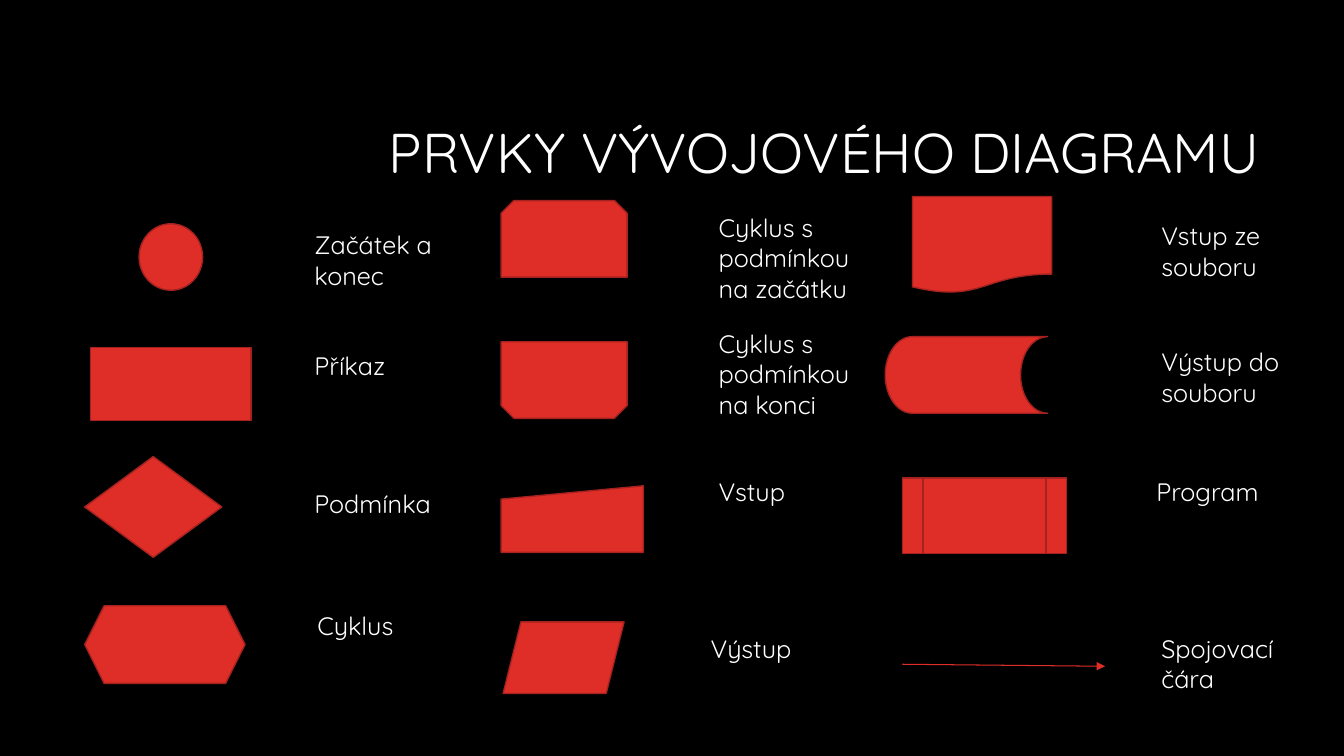
"""Builds a slide that names the symbols of a flowchart."""
from lxml import etree
from pptx import Presentation
from pptx import util as u
from pptx.dml.color import RGBColor
from pptx.enum import shapes, text
from pptx.oxml.ns import qn

FONT = "Quicksand"
COLORS = {"background": "000000", "text": "FFFFFF", "symbol": "DF2E28", "edge": "A5221E"}
TITLE = "PRVKY VÝVOJOVÉHO DIAGRAMU"
TITLE_BOX = (3.17, 0.84, 9.42, 1.41)
S = shapes.MSO_SHAPE
ARROW = None

# symbol, its size, its shift in the cell, rotation, label, label lines, label shift
COLUMNS = [
    [(S.OVAL, (0.63, 0.66), (0.54, 0.22), 0, "Začátek a konec", 2, (0, 0.23)),
     (S.RECTANGLE, (1.59, 0.72), (0.06, 0.05), 0, "Příkaz", 1, (0, 0.03)),
     (S.FLOWCHART_DECISION, (1.36, 1), (0, -0.27), 0, "Podmínka", 1, (0, 0)),
     (S.HEXAGON, (1.59, 0.77), (0, -0.19), 0, "Cyklus", 1, (0.03, -0.19))],
    [(S.SNIP_2_SAME_RECTANGLE, (1.25, 0.76), (0, -0.01), 0,
      "Cyklus s podmínkou na začátku", 3, (0, 0.06)),
     (S.SNIP_2_SAME_RECTANGLE, (1.25, 0.76), (0, -0.01), 180,
      "Cyklus s podmínkou na konci", 3, (0, -0.19)),
     (S.FLOWCHART_MANUAL_INPUT, (1.41, 0.66), (0, 0.02), 0, "Vstup", 1, (0, -0.12)),
     (S.PARALLELOGRAM, (1.2, 0.71), (0.02, -0.03), 0, "Výstup", 1, (-0.08, 0.03))],
    [(S.FLOWCHART_DOCUMENT, (1.38, 0.96), (0.1, -0.05), 0, "Vstup ze souboru", 2, (0, 0.14)),
     (S.FLOWCHART_STORED_DATA, (1.61, 0.76), (-0.17, -0.06), 0,
      "Výstup do souboru", 2, (0, -0.01)),
     (S.FLOWCHART_PREDEFINED_PROCESS, (1.63, 0.75), (0, -0.06), 0, "Program", 1, (-0.05, -0.12)),
     (ARROW, (2.01, 0.02), (0, 0.39), 0, "Spojovací čára", 2, (0, 0.03))],
]
SYMBOL_LEFTS = (0.84, 4.97, 8.95)
LABEL_LEFTS = (3.02, 7.03, 11.42)
FIRST_ROW, ROW_PITCH = 2, 1.4
LABEL_WIDTH, LABEL_LINE, LABEL_PADDING = 1.6, 0.3, 0.1


def color(name):
    return RGBColor.from_string(COLORS[name])


def inches(*lengths):
    return [u.Inches(length) for length in lengths]


def write(frame, words, size):
    frame.word_wrap = True
    paragraph = frame.paragraphs[0]
    run = paragraph.add_run()
    run.text = words
    run.font.size = u.Pt(size)
    run.font.name = FONT
    run.font.color.rgb = color("text")
    return paragraph


def add_title(slide):
    title = slide.shapes.title
    title.left, title.top, title.width, title.height = inches(*TITLE_BOX)
    title.text_frame.vertical_anchor = text.MSO_ANCHOR.MIDDLE
    heading = write(title.text_frame, TITLE, 40)
    heading.alignment = text.PP_ALIGN.RIGHT
    heading.line_spacing = 0.9


def add_arrow(slide, x, y, width, height):
    arrow = slide.shapes.add_connector(
        shapes.MSO_CONNECTOR.STRAIGHT, *inches(x, y, x + width, y + height))
    arrow.line.color.rgb = color("symbol")
    arrow.line.width = u.Pt(0.75)
    properties = arrow.element.spPr
    etree.SubElement(properties.find(qn("a:ln")), qn("a:tailEnd"), type="triangle")
    etree.SubElement(properties, qn("a:effectLst"))


def add_symbol(slide, preset, x, y, width, height, rotation):
    symbol = slide.shapes.add_shape(preset, *inches(x, y, width, height))
    symbol.rotation = rotation
    symbol.shadow.inherit = False
    symbol.fill.solid()
    symbol.fill.fore_color.rgb = color("symbol")
    symbol.line.color.rgb = color("edge")
    symbol.line.width = u.Pt(1)


def add_label(slide, words, lines, x, y):
    height = LABEL_PADDING + lines * LABEL_LINE
    label = slide.shapes.add_textbox(*inches(x, y, LABEL_WIDTH, height))
    write(label.text_frame, words, 18)


def main():
    deck = Presentation()
    deck.slide_width, deck.slide_height = inches(13.33, 7.5)
    slide = deck.slides.add_slide(deck.slide_layouts[5])
    slide.background.fill.solid()
    slide.background.fill.fore_color.rgb = color("background")
    add_title(slide)
    for symbol_left, label_left, column in zip(SYMBOL_LEFTS, LABEL_LEFTS, COLUMNS):
        for row, (preset, size, shift, rotation, words, lines, label_shift) in enumerate(column):
            top = FIRST_ROW + row * ROW_PITCH
            box = (symbol_left + shift[0], top + shift[1], *size)
            if preset is ARROW:
                add_arrow(slide, *box)
            else:
                add_symbol(slide, preset, *box, rotation)
            add_label(slide, words, lines, label_left + label_shift[0], top + label_shift[1])
    deck.save("out.pptx")


if __name__ == "__main__":
    main()
